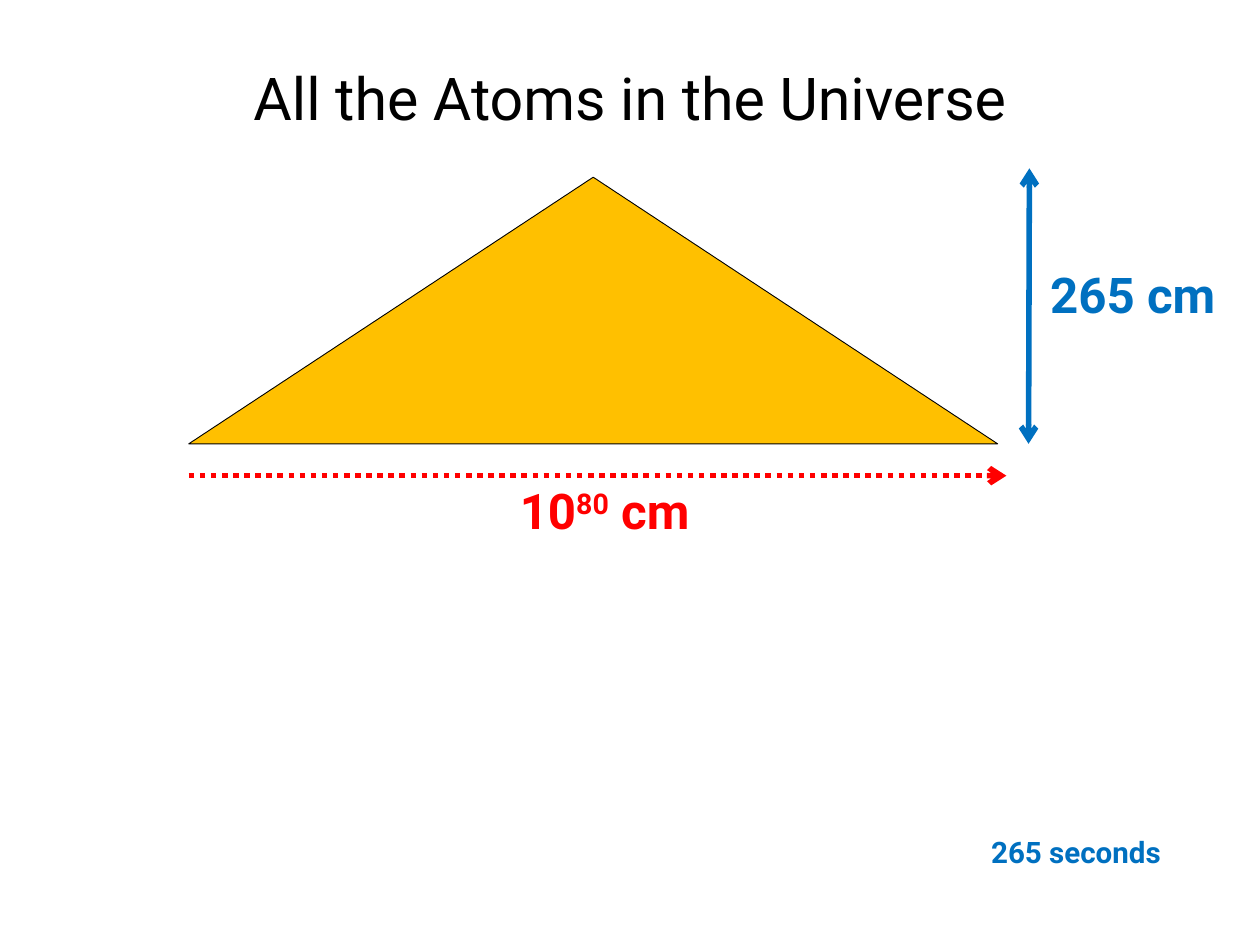
from pptx import Presentation
from pptx.dml.color import RGBColor
from pptx.enum import dml, shapes, text
from pptx.oxml import ns
from pptx.util import Pt
from lxml import etree

FONT = "Roboto"
RED, BLUE = "FF0000", "0070C0"
TITLE = ("All the Atoms in the Universe", (75, 20, 874, 118))
PYRAMID = (153.4, 144, 657.4, 216.7)
ARROWS = [
    ((153.4, 386.6), (817.9, 386.6), RED, dml.MSO_LINE.ROUND_DOT, ["tailEnd"]),
    ((836.6, 136.8), (835.9, 360.7), BLUE, None, ["headEnd", "tailEnd"]),
]
LABELS = [
    ([("10", 0), ("80", 30000), (" cm", 0)], (411.8, 386.6, 159.1, 55.4), 40, RED, (7.2, 3.6)),
    ([("265 cm", 0)], (844.6, 211, 151.9, 55.4), 40, BLUE, (7.2, 3.6)),
    ([("265 seconds", 0)], (791.3, 672.5, 166.3, 39.6), 24, BLUE, (10, 5)),
]


def rgb(value):
    return RGBColor.from_string(value)


def points(values):
    return [Pt(value) for value in values]


def write(frame, pieces, size, color, insets, bold):
    frame.margin_left = frame.margin_right = Pt(insets[0])
    frame.margin_top = frame.margin_bottom = Pt(insets[1])
    line = frame.paragraphs[0]
    line.alignment = text.PP_ALIGN.CENTER
    for words, baseline in pieces:
        run = line.add_run()
        run.text = words
        run.font.name = FONT
        run.font.size = Pt(size)
        run.font.bold = bold
        run.font.color.rgb = rgb(color)
        if baseline:
            run._r.get_or_add_rPr().set("baseline", str(baseline))


def add_arrow(slide, start, end, color, dash, heads):
    arrow = slide.shapes.add_connector(shapes.MSO_CONNECTOR.STRAIGHT, *points(start + end))
    arrow.line.color.rgb = rgb(color)
    arrow.line.width = Pt(4.5)
    if dash:
        arrow.line.dash_style = dash
    outline = arrow.line._get_or_add_ln()
    for head in heads:
        etree.SubElement(outline, ns.qn("a:" + head), type="arrow")
    etree.SubElement(arrow._element.spPr, ns.qn("a:effectLst"))


def main():
    deck = Presentation()
    deck.slide_width, deck.slide_height = Pt(1024), Pt(768)
    slide = deck.slides.add_slide(deck.slide_layouts[5])

    title = slide.shapes.title
    words, place = TITLE
    title.left, title.top, title.width, title.height = points(place)
    title.text_frame.vertical_anchor = text.MSO_ANCHOR.MIDDLE
    write(title.text_frame, [(words, 0)], 48, "000000", (4.3, 4.3), False)

    pyramid = slide.shapes.add_shape(shapes.MSO_SHAPE.ISOSCELES_TRIANGLE, *points(PYRAMID))
    pyramid.shadow.inherit = False
    pyramid.fill.solid()
    pyramid.fill.fore_color.rgb = rgb("FFC000")
    pyramid.line.color.rgb = rgb("000000")
    pyramid.line.width = Pt(0.75)

    for arrow in ARROWS:
        add_arrow(slide, *arrow)

    for pieces, place, size, color, insets in LABELS:
        label = slide.shapes.add_textbox(*points(place)).text_frame
        label.word_wrap = False
        label.auto_size = text.MSO_AUTO_SIZE.SHAPE_TO_FIT_TEXT
        write(label, pieces, size, color, insets, True)

    deck.save("out.pptx")


if __name__ == "__main__":
    main()
